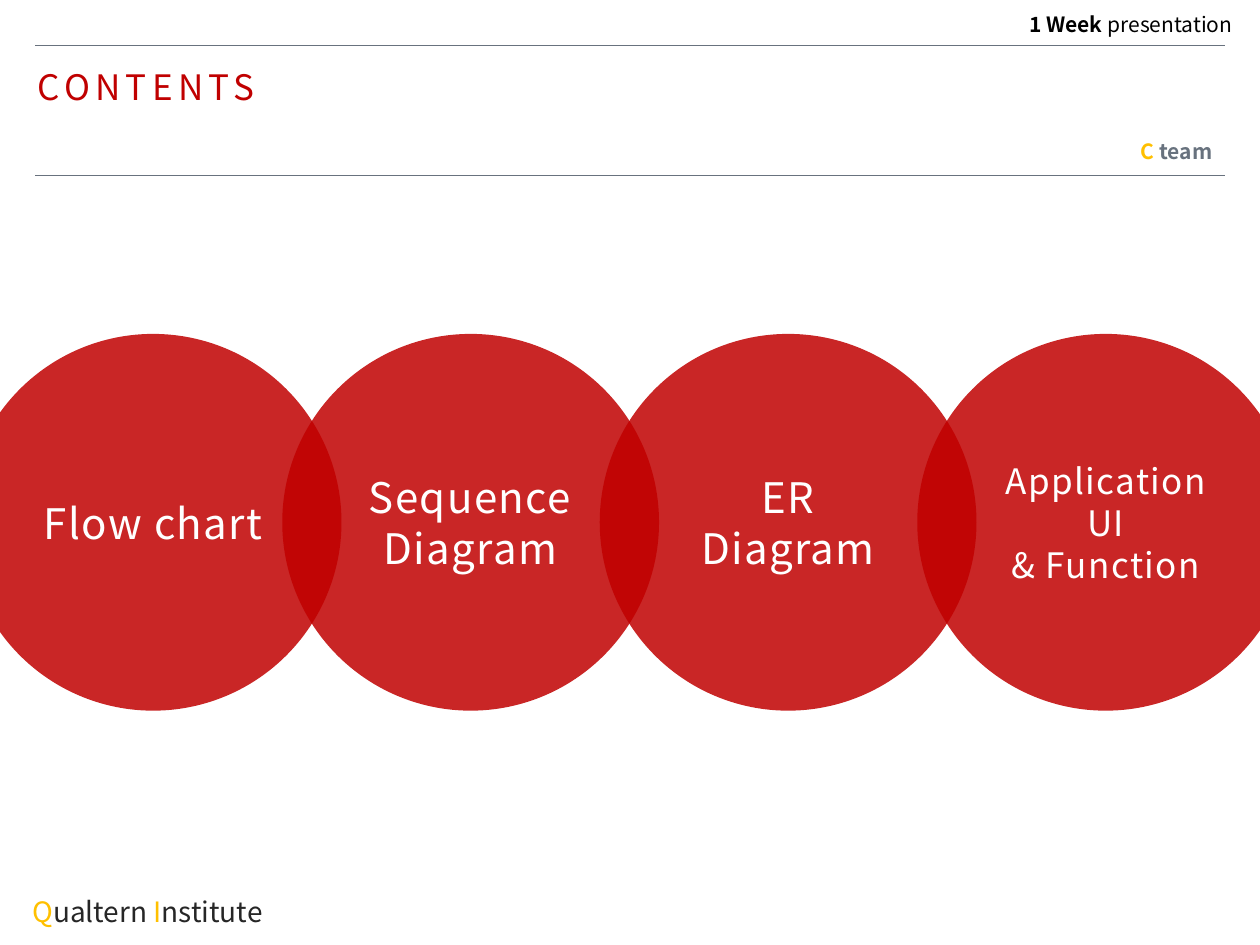
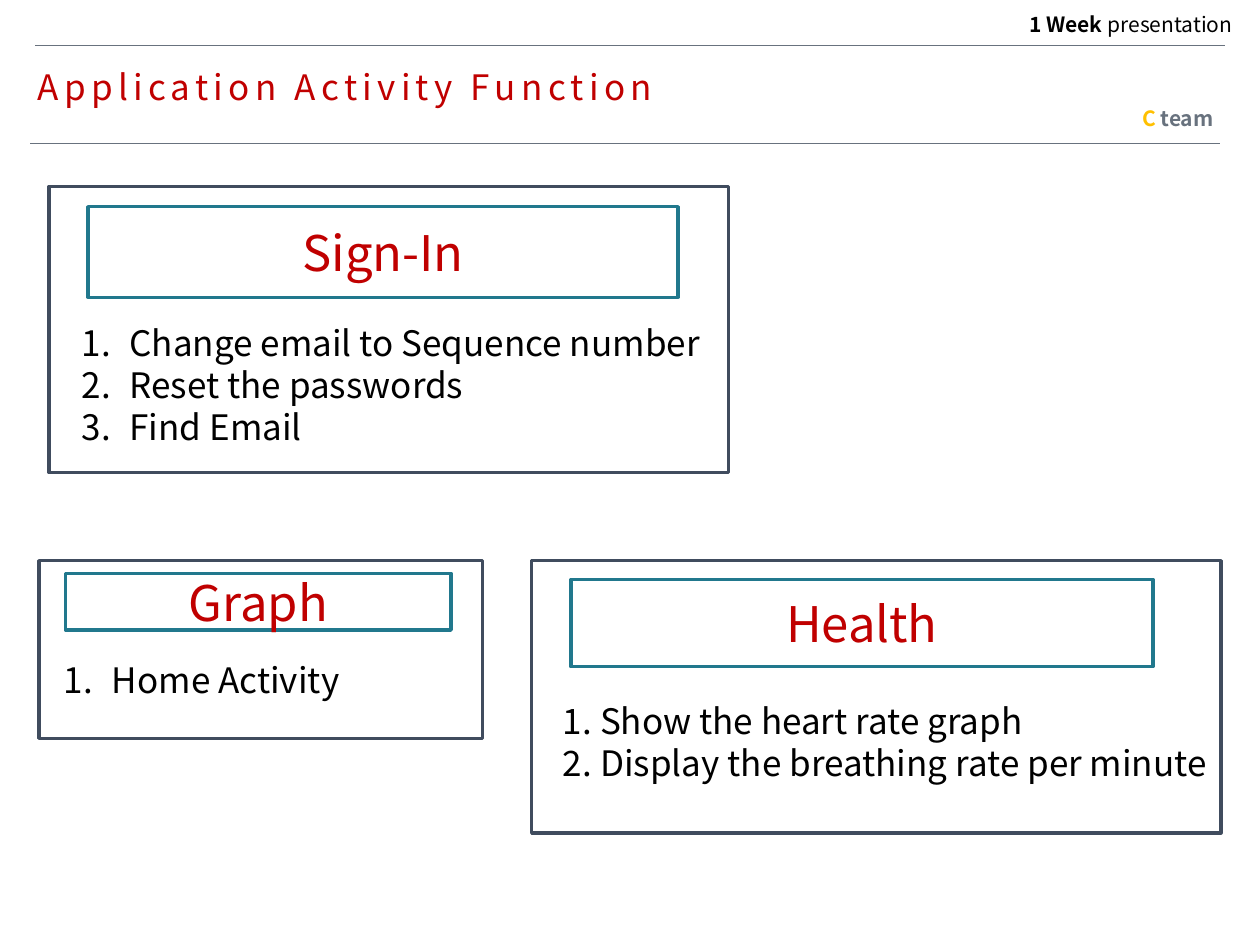
from pptx import Presentation
from pptx.dml.color import RGBColor
from pptx.enum.shapes import MSO_CONNECTOR, MSO_SHAPE
from pptx.enum.text import MSO_ANCHOR, PP_ALIGN
from pptx.oxml.ns import qn
from pptx.oxml.xmlchemy import OxmlElement
from pptx.util import Inches, Pt

LEFT, CENTER, RIGHT = PP_ALIGN.LEFT, PP_ALIGN.CENTER, PP_ALIGN.RIGHT
MIDDLE = MSO_ANCHOR.MIDDLE
RECTANGLE, OVAL = MSO_SHAPE.RECTANGLE, MSO_SHAPE.OVAL
STRAIGHT = MSO_CONNECTOR.STRAIGHT

FONT = "Noto Sans CJK KR"
RED, YELLOW, GRAY = "C00000", "FFC000", "68727E"
BLACK, DARK, WHITE = "000000", "262626", "FFFFFF"
NAVY, TEAL = "404C5E", "21788D"
COLUMNS, ROWS = 100, 75


def color(hex_string):
    return RGBColor.from_string(hex_string)


class Deck:
    """Holds the style and the current slide; lengths are grid columns and rows."""

    def __init__(self):
        self.presentation = Presentation()
        self.presentation.slide_width = Inches(10)
        self.presentation.slide_height = Inches(7.5)
        self.column = self.presentation.slide_width / COLUMNS
        self.row = self.presentation.slide_height / ROWS
        self.shapes = None

    def place(self, left, top, width, height):
        return (round(left * self.column), round(top * self.row),
                round(width * self.column), round(height * self.row))

    def new_slide(self, title, rule_left, rule_top, team_box):
        layout = self.presentation.slide_layouts[6]
        self.shapes = self.presentation.slides.add_slide(layout).shapes
        self.rule(2.8, 3.6)
        self.rule(rule_left, rule_top)
        self.text((2, 5.1, 60, 4), [title], 20, RED, line_spacing=0.9, tracking=3)
        self.text((78.3, 0.8, 20.5, 2.6),
                  [[("1 Week ", BLACK, True), ("presentation", BLACK, False)]],
                  12, align=RIGHT, line_spacing=0.8)
        self.text(team_box, [[("C", YELLOW, True), (" team", GRAY, True)]],
                  12, align=RIGHT, line_spacing=0.8)

    def rule(self, left, top, width=94.4):
        x, y, length, _ = self.place(left, top, width, 0)
        line = self.shapes.add_connector(STRAIGHT, x, y, x + length, y)
        line.line.color.rgb = color(GRAY)
        line.line.width = Pt(0.25)
        line._element.spPr.append(OxmlElement("a:effectLst"))

    def fill_text(self, shape, paragraphs, size, font_color=BLACK, align=LEFT,
                  line_spacing=None, tracking=0):
        """Each paragraph is a string or a list of (text, color, bold) runs."""
        frame = shape.text_frame
        frame.word_wrap = True
        for index, content in enumerate(paragraphs):
            paragraph = frame.add_paragraph() if index else frame.paragraphs[0]
            paragraph.alignment = align
            paragraph.line_spacing = line_spacing
            if isinstance(content, str):
                content = [(content, font_color, False)]
            for words, run_color, bold in content:
                run = paragraph.add_run()
                run.text = words
                run.font.name, run.font.size, run.font.bold = FONT, Pt(size), bold
                run.font.color.rgb = color(run_color)
                if tracking:
                    run._r.get_or_add_rPr().set("spc", str(round(tracking * 100)))

    def text(self, box, paragraphs, size, *style, **more_style):
        shape = self.shapes.add_textbox(*self.place(*box))
        self.fill_text(shape, paragraphs, size, *style, **more_style)
        return shape

    def circle(self, box, paragraphs, size):
        shape = self.shapes.add_shape(OVAL, *self.place(*box))
        shape.shadow.inherit = False
        shape.fill.solid()
        shape.fill.fore_color.rgb = color(RED)
        alpha = OxmlElement("a:alpha")
        alpha.set("val", "85000")
        shape._element.spPr.find(".//" + qn("a:srgbClr")).append(alpha)
        shape.line.fill.background()
        shape.text_frame.vertical_anchor = MIDDLE
        self.fill_text(shape, paragraphs, size, WHITE, CENTER, tracking=0.8)

    def frame(self, box, line_color):
        shape = self.shapes.add_shape(RECTANGLE, *self.place(*box))
        shape.shadow.inherit = False
        shape.fill.background()
        shape.line.color.rgb = color(line_color)
        shape.line.width = Pt(2)
        return shape

    def number(self, shape):
        for paragraph in shape.text_frame.paragraphs:
            properties = paragraph._p.get_or_add_pPr()
            properties.set("marL", str(Inches(0.38)))
            properties.set("indent", str(-Inches(0.38)))
            bullet = OxmlElement("a:buAutoNum")
            bullet.set("type", "arabicPeriod")
            properties.append(bullet)

    def panel(self, heading, items, outer_box, heading_box, list_box, numbered):
        slide_shapes = self.shapes
        self.shapes = slide_shapes.add_group_shape().shapes
        self.frame(outer_box, NAVY)
        heading_shape = self.frame(heading_box, TEAL)
        heading_shape.text_frame.vertical_anchor = MIDDLE
        self.fill_text(heading_shape, [heading], 28, RED, CENTER)
        item_list = self.text(list_box, items, 20)
        if numbered:
            self.number(item_list)
        self.shapes = slide_shapes


def add_contents(deck):
    deck.new_slide("CONTENTS", 2.8, 13.9, (76.7, 10.9, 20.5, 2.6))
    topics = [
        (["Flow chart"], 24),
        (["Sequence Diagram"], 24),
        (["ER", "Diagram"], 24),
        (["Application", "UI", "& Function"], 20),
    ]
    diameter, pitch = 29.9, 25.2
    for index, (topic, size) in enumerate(topics):
        deck.circle((-2.8 + index * pitch, 26.5, diameter, diameter), topic, size)
    deck.text((1.6, 69.2, 44.2, 4.6),
              [[("Q", YELLOW, False), ("ualtern ", DARK, False),
                ("I", YELLOW, False), ("nstitute", DARK, False)]],
              16, line_spacing=1.5)


def add_activity_functions(deck):
    deck.new_slide("Application Activity Function", 2.4, 11.4, (76.8, 8.3, 20.5, 2.6))
    deck.panel("Sign-In",
               ["Change email to Sequence number", "Reset the passwords", "Find Email"],
               (3.9, 14.8, 53.9, 22.7), (7, 16.4, 46.8, 7.2), (5.5, 25, 52, 14.5), True)
    deck.panel("Graph", ["Home Activity"],
               (3.1, 44.5, 35.2, 14.1), (5.2, 45.5, 30.6, 4.5), (4.1, 51.8, 33.6, 4.8), True)
    deck.panel("Health",
               ["1. Show the heart rate graph", "2. Display the breathing rate per minute"],
               (42.2, 44.5, 54.7, 21.6), (45.3, 46, 46.2, 6.9), (43.7, 55, 56.3, 11.1), False)


def main():
    deck = Deck()
    add_contents(deck)
    add_activity_functions(deck)
    deck.presentation.save("out.pptx")


if __name__ == "__main__":
    main()
